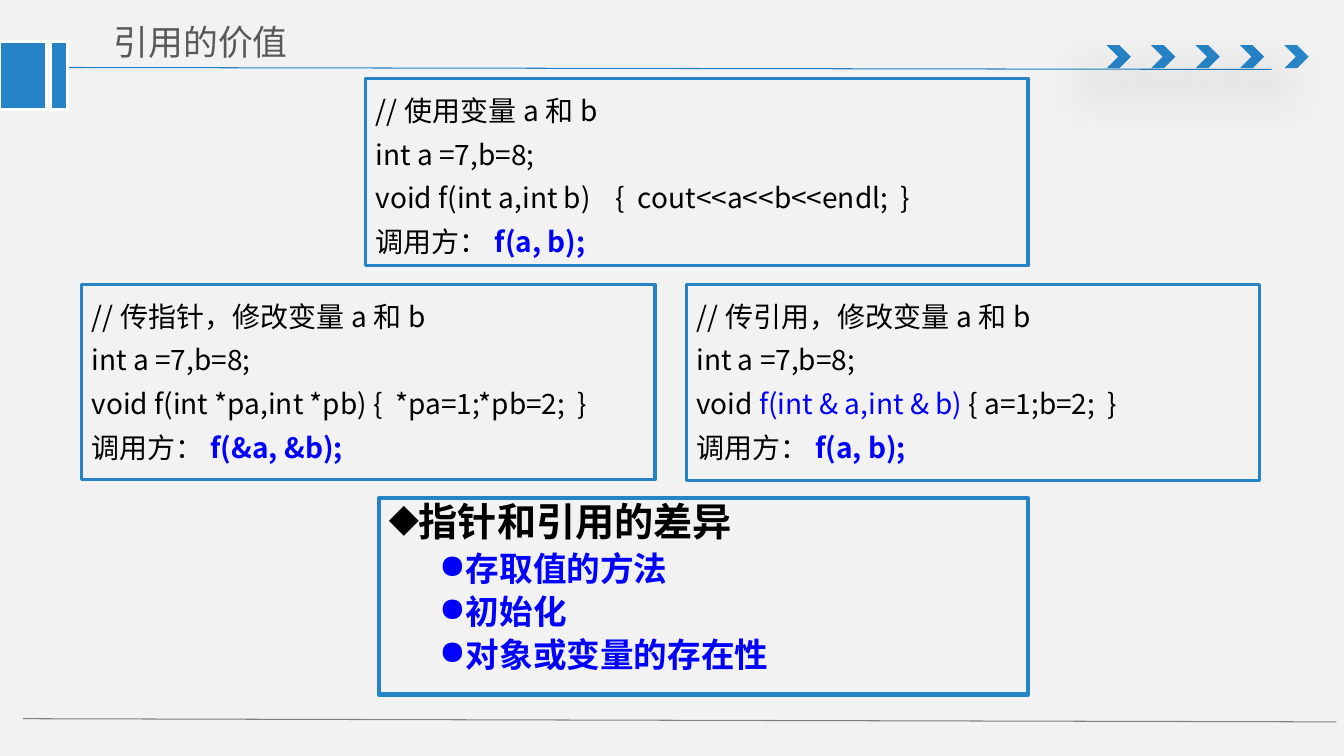
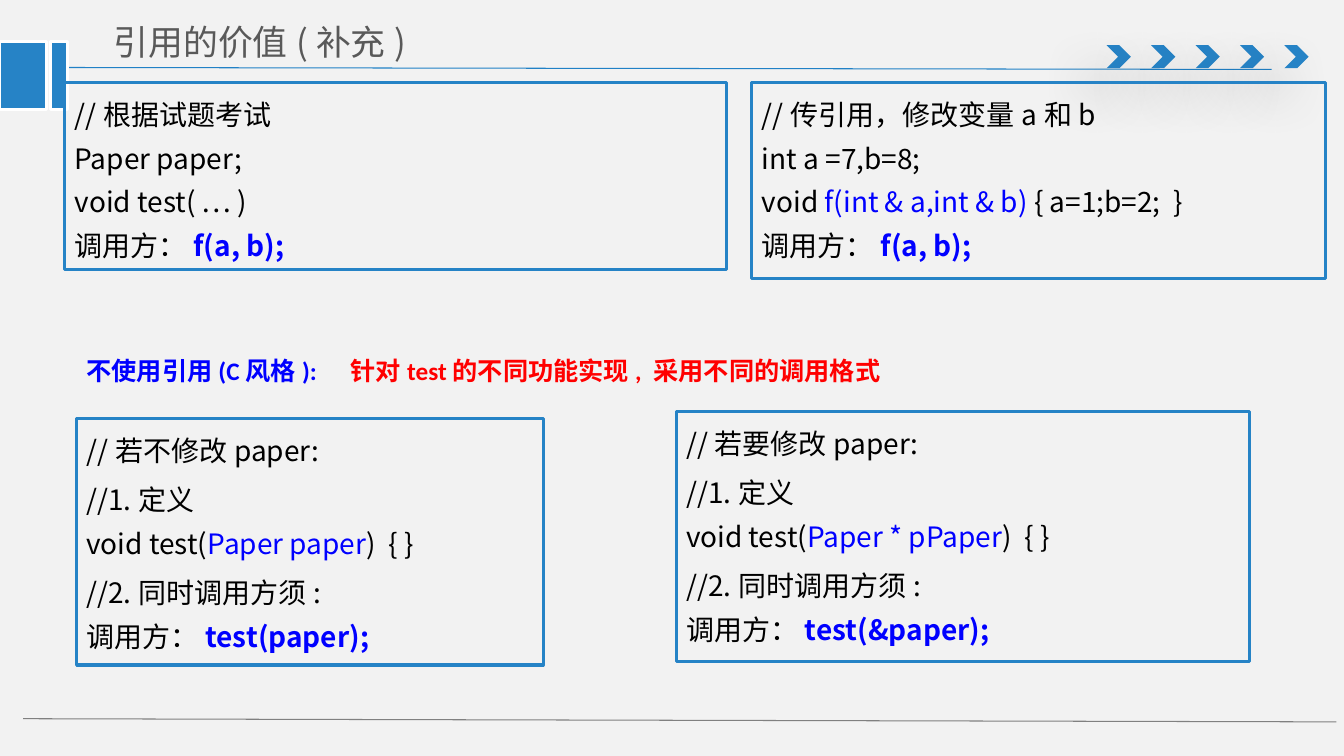
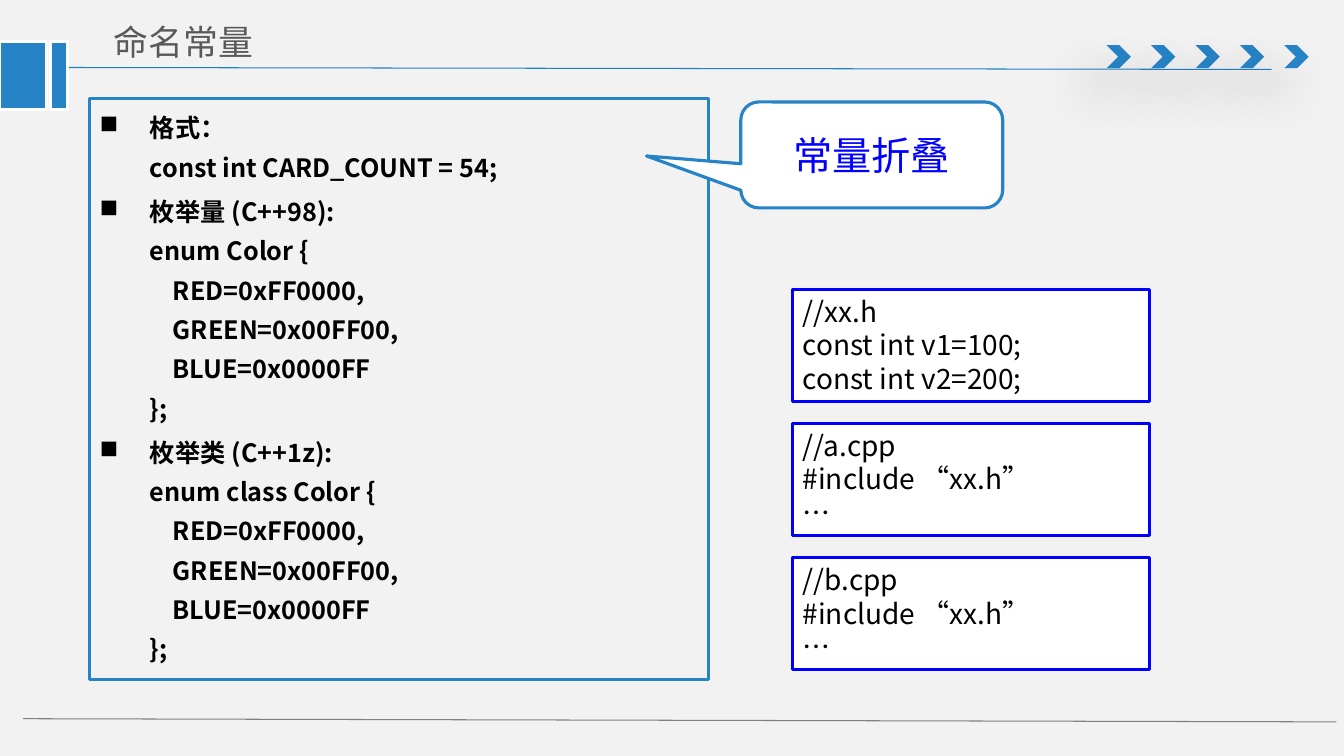
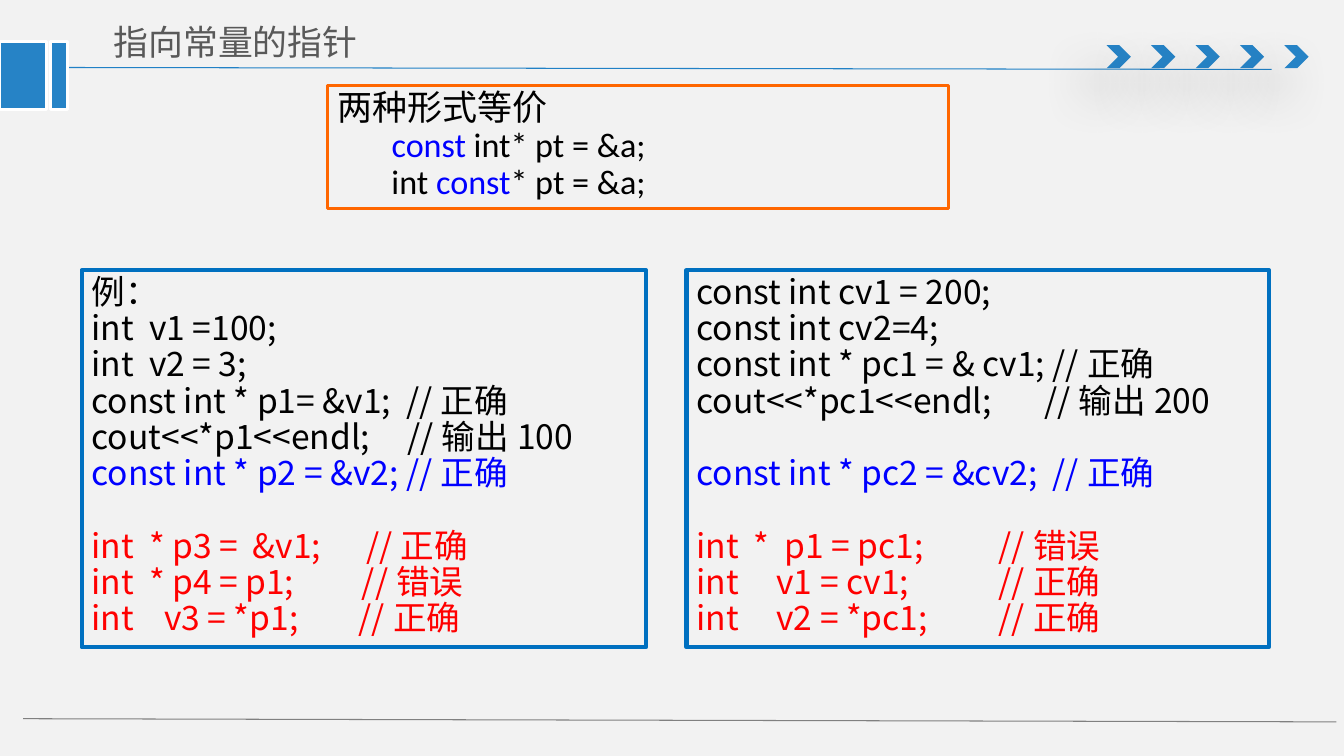
from dataclasses import dataclass
from lxml.etree import SubElement
from pptx import Presentation
from pptx.dml.color import RGBColor
from pptx.enum.shapes import MSO_CONNECTOR, MSO_SHAPE as Kind
from pptx.enum.text import MSO_ANCHOR as Anchor, PP_ALIGN as Align
from pptx.oxml.ns import qn
from pptx.util import Cm, Pt

SANS, CALIBRI = "Noto Sans CJK SC", "Calibri"
BLACK, WHITE, GREY, PAPER = "000000", "FFFFFF", "595959", "F2F2F2"
BLUE, RED, ORANGE = "0000FF", "FF0000", "FF6600"
THEME, RULE, FOOT, DEEP = "2683C6", "2181C6", "808080", "0070C0"


@dataclass
class Para:
    """Runs are strings, or (text, colour) or (text, colour, bold) tuples."""
    runs: list
    size: float = 20
    font: str = SANS
    space: float = 1.0
    gap: float = 0
    bullet: str = ""
    left: float = 0
    hang: float = 0
    tab: float = 0
    align: Align = Align.LEFT


@dataclass
class Box:
    at: tuple
    paras: list
    line: str = THEME
    width: float = 2.25
    fill: str = ""
    kind: Kind = Kind.RECTANGLE
    adjust: tuple = ()
    anchor: Anchor = Anchor.TOP


def code(*runs, gap=0):
    return Para(runs, space=1.3, gap=gap)


def point(text):
    return Para([(text, BLUE, True)], 24, CALIBRI, 0.9, 5, "●", 1.91, 0.64)


def term(text, gap=3.6):
    return Para([(text, BLACK, True)], 18, SANS, 1.3, gap, "■", 1.27, 1.27)


def sample(*runs, gap=0, tab=0):
    return Para(runs, 24, space=0.9, gap=gap, tab=tab)


def form(*runs):
    return Para(runs, 24.4, CALIBRI, 0.9)


def choice(at, note, param, call):
    return Box(at, [
        code(f"//若{note}修改paper:"),
        code("//1.定义\nvoid test(", (param, BLUE), ")  { }", gap=4),
        code("//2.同时调用方须:\n调用方：", (call, BLUE, True), gap=4)])


def by_ref(at):
    return Box(at, [code(
        "//传引用，修改变量a和b\nint a =7,b=8;\nvoid ",
        ("f(int & a,int & b) ", BLUE), "{ a=1;b=2;  }\n调用方：",
        ("f(a, b);", BLUE, True))])


ENUM = """ {
    RED=0xFF0000,
    GREEN=0x00FF00,
    BLUE=0x0000FF
};"""
FILES = ["//xx.h\nconst int v1=100;\nconst int v2=200;",
         "//a.cpp\n#include “xx.h”\n…",
         "//b.cpp\n#include “xx.h”\n…"]

SLIDES = [
    ("引用的价值", [
        Box((9.22, 1.98, 16.69, 4.72), [code(
            "//使用变量a和b\nint a =7,b=8;\n"
            "void f(int a,int b)    {  cout<<a<<b<<endl;  }\n调用方：",
            ("f(a, b);", BLUE, True))]),
        Box((2.06, 7.16, 14.45, 4.93), [code(
            "//传指针，修改变量a和b\nint a =7,b=8;\n"
            "void f(int *pa,int *pb) {  *pa=1;*pb=2;  }\n调用方：",
            ("f(&a, &b);", BLUE, True))]),
        by_ref((17.3, 7.16, 14.45, 4.95)),
        Box((9.55, 12.55, 16.36, 4.95), [
            Para([("指针和引用的差异", BLACK, True)], 28, CALIBRI, 0.9,
                 bullet="◆", left=0.64, hang=0.64),
            point("存取值的方法"), point("初始化"),
            point("对象或变量的存在性")], width=3),
    ]),
    ("引用的价值(补充)", [
        Box((1.63, 2.08, 16.69, 4.72), [code(
            "//根据试题考试\nPaper paper;\nvoid test( … )\n调用方：",
            ("f(a, b);", BLUE, True))]),
        choice((17.04, 10.36, 14.45, 6.3), "要", "Paper * pPaper",
               "test(&paper);"),
        by_ref((18.95, 2.08, 14.45, 4.95)),
        Box((1.93, 8.84, 28.32, 1.02), [Para(
            [("不使用引用(C风格):\t", BLUE, True),
             ("针对test的不同功能实现, 采用不同的调用格式", RED, True)],
            18, CALIBRI, tab=6.66)], line="", kind=None),
        choice((1.93, 10.54, 11.76, 6.22), "不", "Paper paper",
               "test(paper);"),
    ]),
    ("命名常量", [
        Box((2.26, 2.49, 15.6, 14.63), [
            term("格式：\nconst int CARD_COUNT = 54;", gap=0),
            term("枚举量(C++98):\nenum Color" + ENUM),
            term("枚举类(C++1z):\nenum class Color" + ENUM)]),
        Box((18.67, 2.57, 6.6, 2.67),
            [Para([("常量折叠", BLUE)], 28, align=Align.CENTER)],
            fill=WHITE, kind=Kind.ROUNDED_RECTANGULAR_CALLOUT,
            adjust=(-0.86, 0.01, 0.17), anchor=Anchor.MIDDLE),
        *(Box((19.98, 7.29 + 3.38 * i, 8.99, 2.82),
              [Para([line]) for line in text.split("\n")],
              line=BLUE, fill=WHITE)
          for i, text in enumerate(FILES)),
    ]),
    ("指向常量的指针", [
        Box((8.26, 2.16, 15.65, 3.1), [
            Para(["两种形式等价"], 25, CALIBRI, 0.9),
            form("       ", ("const", BLUE), " int* pt = &a;"),
            form("       int ", ("const", BLUE), "* pt = &a;")],
            line=ORANGE),
        Box((2.06, 6.81, 14.22, 9.5), [
            sample("例：\nint  v1 =100;\nint  v2 = 3;\n"
                   "const int * p1= &v1;  //正确\n"
                   "cout<<*p1<<endl;     //输出100\n",
                   ("const int * p2 = &v2; //正确", BLUE)),
            sample(("int  * p3 =  &v1;      //正确\n"
                    "int  * p4 = p1;         //错误\n"
                    "int    v3 = *p1;        //正确", RED), gap=26)],
            line=DEEP, width=3),
        Box((17.3, 6.81, 14.68, 9.5), [
            sample("const int cv1 = 200;\nconst int cv2=4;\n"
                   "const int * pc1 = & cv1; //正确\n"
                   "cout<<*pc1<<endl;       //输出200"),
            sample(("const int * pc2 = &cv2;  //正确", BLUE), gap=26),
            sample(("int  *  p1 = pc1;\t//错误\n"
                    "int     v1 = cv1;\t//正确\n"
                    "int     v2 = *pc1;\t//正确", RED), gap=26, tab=7.62)],
            line=DEEP, width=3),
    ]),
]


def rgb(code):
    return RGBColor.from_string(code)


def cms(at):
    return [Cm(v) for v in at]


def paint(shape, fill, line, width=1):
    """Set fill and outline; an empty colour means none."""
    for part, tone in ((shape.fill, fill), (shape.line.fill, line)):
        if tone:
            part.solid()
            part.fore_color.rgb = rgb(tone)
        else:
            part.background()
    if line:
        shape.line.width = Pt(width)


def style(run, size, font, tone=BLACK, bold=False):
    run.font.size, run.font.name, run.font.bold = Pt(size), font, bold
    run.font.color.rgb = rgb(tone)
    SubElement(run._r.get_or_add_rPr(), qn("a:ea"), typeface=SANS)


def write(p, para):
    props = p._p.get_or_add_pPr()
    if para.bullet:
        props.set("marL", str(Cm(para.left)))
        props.set("indent", str(-Cm(para.hang)))
        SubElement(props, qn("a:buChar"), char=para.bullet)
    if para.tab:
        tabs = SubElement(props, qn("a:tabLst"))
        SubElement(tabs, qn("a:tab"), pos=str(Cm(para.tab)), algn="l")
    p.alignment, p.line_spacing = para.align, para.space
    if para.gap:
        p.space_before = Pt(para.gap)
    for item in para.runs:
        text, *look = (item,) if isinstance(item, str) else item
        for i, line in enumerate(text.split("\n")):
            if i:
                p.add_line_break()
            if line:
                run = p.add_run()
                run.text = line
                style(run, para.size, para.font, *look)


def add_box(slide, box):
    if box.kind is None:
        shape = slide.shapes.add_textbox(*cms(box.at))
    else:
        shape = slide.shapes.add_shape(box.kind, *cms(box.at))
        shape.shadow.inherit = False
        paint(shape, box.fill, box.line, box.width)
    for i, value in enumerate(box.adjust):
        shape.adjustments[i] = value
    frame = shape.text_frame
    frame.word_wrap, frame.vertical_anchor = True, box.anchor
    for i, para in enumerate(box.paras):
        write(frame.add_paragraph() if i else frame.paragraphs[0], para)


def add_rule(slide, ends, tone):
    rule = slide.shapes.add_connector(MSO_CONNECTOR.STRAIGHT, *cms(ends))
    rule.line.color.rgb, rule.line.width = rgb(tone), Pt(0.75)
    SubElement(rule.element.spPr, qn("a:effectLst"))
    return rule


def add_mark(slide, kind, at, line=""):
    mark = slide.shapes.add_shape(kind, *cms(at))
    mark.shadow.inherit = False
    paint(mark, THEME, line, 2)
    return mark


def cast(shape):
    """Give the shape a soft shadow to the lower left."""
    effects = shape.element.spPr.find(qn("a:effectLst"))
    shadow = SubElement(effects, qn("a:outerShdw"), blurRad=str(Pt(36)),
                        dist=str(Pt(24)), dir=str(130 * 60000),
                        algn="tr", rotWithShape="0")
    tone = SubElement(shadow, qn("a:srgbClr"), val=BLACK)
    SubElement(tone, qn("a:alpha"), val="38000")


def dress(layout, slide):
    """Draw the shared bands on the slide and move them to its layout."""
    layout.background.fill.solid()
    layout.background.fill.fore_color.rgb = rgb(PAPER)
    for holder in list(layout.placeholders)[1:]:
        layout.shapes.element.remove(holder.element)
    parts = [add_rule(slide, (1.35, 1.7, 32.05, 1.75), RULE)]
    for i in range(5):
        at = (27.89 + 1.12 * i, 1.14, 0.61, 0.58)
        parts.append(add_mark(slide, Kind.CHEVRON, at))
        cast(parts[-1])
    parts.append(add_rule(slide, (0.58, 18.11, 33.68, 18.19), FOOT))
    for left, width in ((0, 1.17), (1.27, 0.43)):
        at = (left, 1.04, width, 1.73)
        parts.append(add_mark(slide, Kind.RECTANGLE, at, WHITE))
    for part in parts:
        layout.shapes.element.append(part.element)


def set_title(slide, text):
    title = slide.shapes.title
    title.left, title.top, title.width, title.height = cms(
        (2.51, 0.36, 11.76, 1.4))
    frame = title.text_frame
    frame.text = text
    frame.vertical_anchor = Anchor.MIDDLE
    frame.margin_left = frame.margin_right = Cm(0.36)
    frame.margin_top = frame.margin_bottom = Cm(0.18)
    frame.paragraphs[0].alignment = Align.LEFT
    style(frame.paragraphs[0].runs[0], 24.9, SANS, GREY)


def main():
    prs = Presentation()
    prs.slide_width, prs.slide_height = Cm(33.87), Cm(19.05)
    layout = prs.slide_layouts[5]
    for i, (title, boxes) in enumerate(SLIDES):
        slide = prs.slides.add_slide(layout)
        if i == 0:
            dress(layout, slide)
        set_title(slide, title)
        for box in boxes:
            add_box(slide, box)
    prs.save("out.pptx")


if __name__ == "__main__":
    main()
